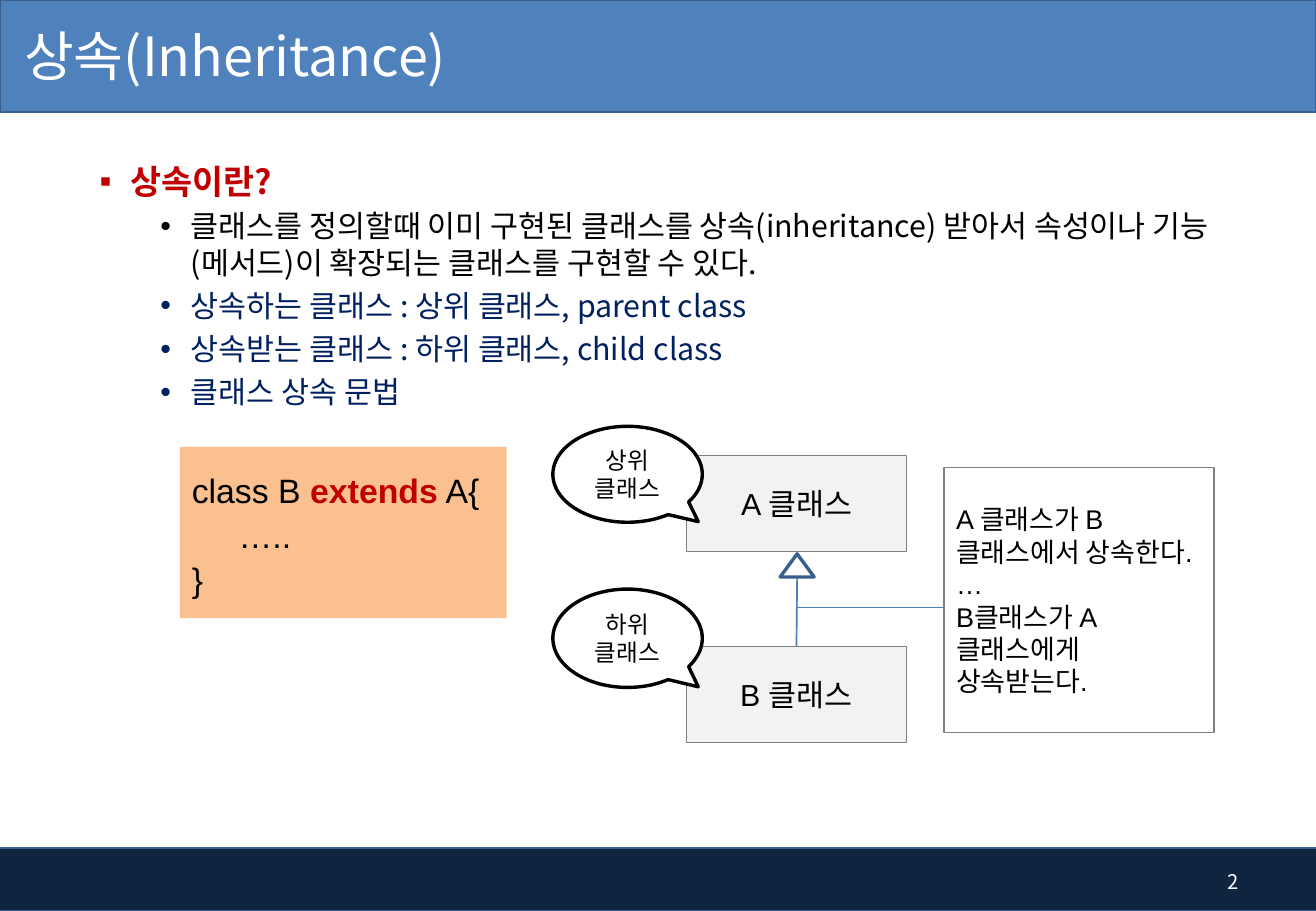
"""Build a slide that explains class inheritance in Korean."""
from dataclasses import dataclass

from pptx import Presentation
from pptx import util as u
from pptx.dml.color import RGBColor
from pptx.enum import shapes, text
from pptx.oxml.ns import qn

PX = 9144
SHAPE = shapes.MSO_SHAPE
ALIGN = text.PP_ALIGN


@dataclass(frozen=True)
class Theme:
    sans: str = "Noto Sans CJK KR"
    code: str = "Arial"
    white: str = "FFFFFF"
    black: str = "000000"
    navy: str = "002060"
    red: str = "C00000"
    footer: str = "0F243E"
    banner: str = "4F81BD"
    edge: str = "3A5F8C"
    link: str = "4B7EBC"
    peach: str = "FAC090"
    pale: str = "F2F2F2"
    gray: str = "808080"
    title: int = 32
    head: int = 20
    body: int = 18
    note: int = 16
    callout: int = 14
    page: int = 12


def px(n):
    return u.Emu(round(n * PX))


def add_text(p, content, *, size, color, font, bold=False):
    r = p.add_run()
    r.text = content
    r.font.size = u.Pt(size)
    r.font.bold = bold
    r.font.name = font
    r.font.color.rgb = RGBColor.from_string(color)
    return r


class Deck:
    def __init__(self, theme, width, height):
        self.theme = theme
        self.prs = Presentation()
        self.prs.slide_width, self.prs.slide_height = px(width), px(height)
        self.s = self.prs.slides.add_slide(self.prs.slide_layouts[1])

    def place(self, sp, x, y, w, h):
        sp.left, sp.top, sp.width, sp.height = map(px, (x, y, w, h))

    def fill_text(self, sp, lines, align=ALIGN.LEFT, spacing=None, **fmt):
        tf = sp.text_frame
        tf.word_wrap = True
        tf.auto_size = text.MSO_AUTO_SIZE.NONE
        tf.vertical_anchor = text.MSO_ANCHOR.MIDDLE
        for i, line in enumerate(lines):
            p = tf.add_paragraph() if i else tf.paragraphs[0]
            p.alignment = align
            p.line_spacing = spacing
            for content, extra in line if isinstance(line, list) else [(line, {})]:
                add_text(p, content, **{**fmt, **extra})

    def shape(self, kind, x, y, w, h, fill=None, line=None, weight=1):
        sp = self.s.shapes.add_shape(kind, *map(px, (x, y, w, h)))
        sp.shadow.inherit = False
        if fill:
            sp.fill.solid()
            sp.fill.fore_color.rgb = RGBColor.from_string(fill)
        else:
            sp.fill.background()
        if line:
            sp.line.color.rgb = RGBColor.from_string(line)
            sp.line.width = u.Pt(weight)
        else:
            sp.line.fill.background()
        return sp

    def bar(self, *box, fill):
        sp = self.shape(SHAPE.RECTANGLE, *box, fill=fill, line=self.theme.edge)
        self.s.shapes.title.element.addprevious(sp.element)

    def title(self, content, *box):
        sp = self.s.shapes.title
        self.place(sp, *box)
        sp.text_frame.margin_left = px(20)
        t = self.theme
        self.fill_text(sp, [content], size=t.title, color=t.white, font=t.sans)

    def bullets(self, items, *box):
        sp = self.s.placeholders[1]
        self.place(sp, *box)
        tf = sp.text_frame
        tf.auto_size = text.MSO_AUTO_SIZE.NONE
        for i, (content, level, mark, fmt) in enumerate(items):
            p = tf.add_paragraph() if i else tf.paragraphs[0]
            p.level = level
            p.space_before = u.Pt(4 if i else 0)
            pPr = p._p.get_or_add_pPr()
            pPr.set("marL", str(px(75 if level else 25)))
            pPr.set("indent", str(px(-25)))
            pPr.append(pPr.makeelement(qn("a:buFont"), {"typeface": "Arial"}))
            pPr.append(pPr.makeelement(qn("a:buChar"), {"char": mark}))
            add_text(p, content, font=self.theme.sans, **fmt)

    def label(self, content, *box, **fmt):
        sp = self.s.shapes.add_textbox(*map(px, box))
        self.fill_text(sp, [content], **fmt)

    def line(self, x1, y1, x2, y2, weight, begin=None):
        c = self.s.shapes.add_connector(
            shapes.MSO_CONNECTOR.STRAIGHT, *map(px, (x1, y1, x2, y2)))
        if begin:
            c.begin_connect(*begin)
        c.line.color.rgb = RGBColor.from_string(self.theme.link)
        c.line.width = u.Pt(weight)
        spPr = c._element.spPr
        spPr.append(spPr.makeelement(qn("a:effectLst"), {}))


def main():
    t = Theme()
    d = Deck(t, 1083, 750)
    d.bar(-4, 698, 1088, 52, fill=t.footer)
    d.bar(0, 0, 1083, 92, fill=t.banner)
    d.title("상속(Inheritance)", 0, -2, 678, 94)
    d.label("2", 968, 706, 61, 40, align=ALIGN.RIGHT,
            size=t.page, color=t.white, font=t.sans)

    head = dict(size=t.head, color=t.red, bold=True)
    plain = dict(size=t.body, color=t.black)
    navy = dict(size=t.body, color=t.navy)
    d.bullets([
        ("상속이란?", 0, "▪", head),
        ("클래스를 정의할때 이미 구현된 클래스를 상속(inheritance) 받아서 속성이나 "
         "기능(메서드)이 확장되는 클래스를 구현할 수 있다.", 1, "•", plain),
        ("상속하는 클래스 : 상위 클래스, parent class", 1, "•", navy),
        ("상속받는 클래스 : 하위 클래스, child class", 1, "•", navy),
        ("클래스 상속 문법", 1, "•", navy),
    ], 72, 127, 942, 232)

    code = d.shape(SHAPE.RECTANGLE, 148, 368, 269, 141, fill=t.peach)
    keyword = dict(color=t.red, bold=True)
    d.fill_text(code, [[("class B ", {}), ("extends", keyword), (" A{", {})],
                       "     …..", "}"],
                spacing=1.1, size=t.head, color=t.black, font=t.code)

    boxes = {}
    for name, y in (("A", 375), ("B", 532)):
        boxes[name] = d.shape(SHAPE.RECTANGLE, 565, y, 181, 79,
                              fill=t.pale, line=t.gray, weight=0.75)
        d.fill_text(boxes[name], [f"{name} 클래스"], ALIGN.CENTER,
                    size=t.body, color=t.black, font=t.code)

    d.shape(SHAPE.ISOSCELES_TRIANGLE, 642, 456, 28, 19, line=t.edge, weight=2)
    d.line(656, 532, 656, 476, 1, begin=(boxes["B"], 0))
    note = d.shape(SHAPE.RECTANGLE, 777, 385, 222, 218, fill=t.white, line=t.gray)
    d.fill_text(note, ["A 클래스가 B클래스에서 상속한다.", "…",
                       "B클래스가 A클래스에게 상속받는다."],
                size=t.note, color=t.black, font=t.code)
    d.line(656, 500, 777, 500, 0.75)

    for word, y, h in (("상위", 351, 79), ("하위", 485, 81)):
        sp = d.shape(SHAPE.OVAL_CALLOUT, 455, y, 123, h,
                     fill=t.white, line=t.black, weight=2)
        sp.adjustments[0], sp.adjustments[1] = 0.473, 0.493
        d.fill_text(sp, [word, "클래스"], ALIGN.CENTER,
                    size=t.callout, color=t.black, font=t.sans)

    d.prs.save("out.pptx")


if __name__ == "__main__":
    main()
